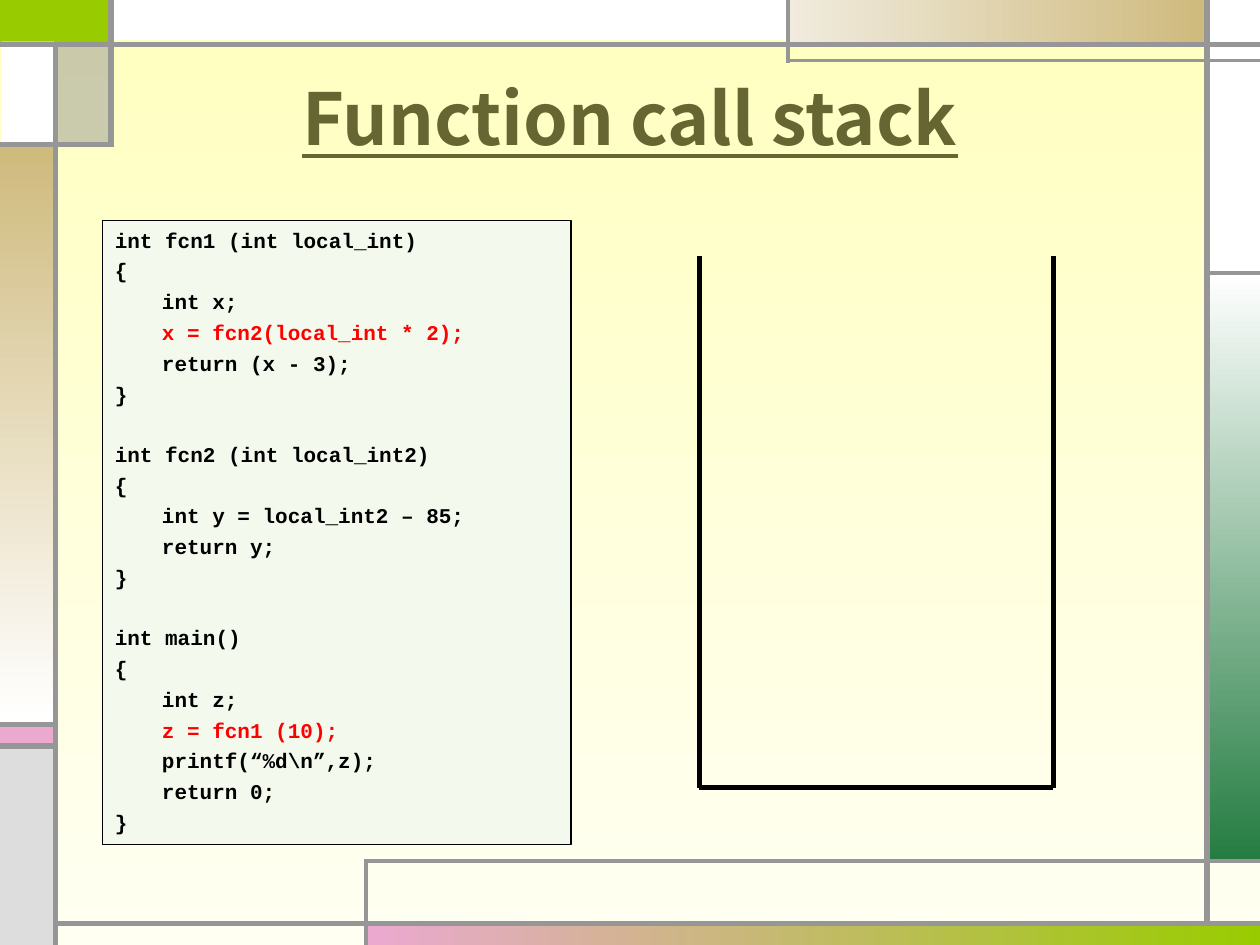
from dataclasses import dataclass

from lxml.etree import SubElement
from pptx import Presentation
from pptx.dml.color import RGBColor
from pptx.enum.shapes import MSO_CONNECTOR, MSO_SHAPE
from pptx.enum.text import MSO_ANCHOR, MSO_AUTO_SIZE, PP_ALIGN
from pptx.oxml.ns import qn
from pptx.util import Cm, Pt

COLORS = {
    "sky": "FFFFBF", "ground": "FFFFF2", "white": "FFFFFF", "gray": "969696",
    "silver": "DDDDDD", "lime": "99CC00", "pink": "EBA9D0", "green": "247C41",
    "cream": "F0EBDE", "sand": "CFBA7D", "olive": "666633", "mint": "F4F9EE",
    "black": "000000", "red": "FF0000",
}
WIDTH, HEIGHT = 25.4, 19.05
RIGHT_RAIL = 24.33
SIDE_WIDTH = 1.07
DOWN = 270


@dataclass
class Panel:
    """A decorative rectangle, in centimetres, with one or two colours."""
    left: float
    top: float
    width: float
    height: float
    colors: tuple[str, ...]
    angle: int = 0
    opacity: int = 100


@dataclass
class Rule:
    """A straight line, in centimetres."""
    x1: float
    y1: float
    x2: float
    y2: float
    weight: float = 3
    color: str = "gray"


@dataclass
class CodeLine:
    """A line of code with its indentation and colour."""
    text: str
    indented: bool = False
    color: str = "black"


PANELS = [
    Panel(0, 0, 2.21, 0.86, ("lime",)),
    Panel(7.42, 18.62, 17.98, 0.43, ("pink", "lime")),
    Panel(RIGHT_RAIL, 5.51, SIDE_WIDTH, 11.86, ("white", "green"), DOWN),
    Panel(0, 14.61, SIDE_WIDTH, 0.43, ("pink",)),
    Panel(0, 15.06, SIDE_WIDTH, 3.99, ("silver",)),
    Panel(RIGHT_RAIL, 0, SIDE_WIDTH, 5.51, ("white",)),
    Panel(15.88, 0, 8.46, 0.84, ("cream", "sand")),
    Panel(1.17, 0.84, SIDE_WIDTH, 2.08, ("gray",), opacity=50),
    Panel(0, 2.92, SIDE_WIDTH, 11.63, ("sand", "white"), DOWN),
    Panel(0.03, 0.84, SIDE_WIDTH, 2.08, ("white",)),
    Panel(2.18, 0, 13.69, 0.81, ("white",)),
]

FRAME_RULES = [
    Rule(1.12, HEIGHT, 1.12, 0.84),
    Rule(1.12, 18.62, WIDTH, 18.62),
    Rule(RIGHT_RAIL, 18.62, RIGHT_RAIL, 0),
    Rule(0, 0.89, WIDTH, 0.89),
    Rule(WIDTH, 1.22, 15.88, 1.22, 2.25),
    Rule(15.88, 1.27, 15.88, 0, 2.25),
    Rule(RIGHT_RAIL, 5.51, WIDTH, 5.51, 2.25),
    Rule(2.24, 0, 2.24, 2.97),
    Rule(2.18, 2.92, 0, 2.92),
    Rule(7.37, HEIGHT, 7.37, 17.32, 2.25),
    Rule(7.34, 17.35, WIDTH, 17.35, 2.25),
    Rule(1.17, 14.61, 0, 14.61),
    Rule(1.17, 15.04, 0, 15.04),
]

STACK_LEFT, STACK_RIGHT, STACK_TOP, STACK_BOTTOM = 14.1, 21.23, 5.16, 15.88
STACK_RULES = [
    Rule(STACK_LEFT, STACK_TOP, STACK_LEFT, STACK_BOTTOM, color="black"),
    Rule(STACK_RIGHT, STACK_TOP, STACK_RIGHT, STACK_BOTTOM, color="black"),
    Rule(STACK_LEFT, STACK_BOTTOM, STACK_RIGHT, STACK_BOTTOM, color="black"),
]

FUNCTIONS = [
    [
        CodeLine("int fcn1 (int local_int)"),
        CodeLine("{"),
        CodeLine("int x;", True),
        CodeLine("x = fcn2(local_int * 2);", True, "red"),
        CodeLine("return (x - 3);", True),
        CodeLine("}"),
    ],
    [
        CodeLine("int fcn2 (int local_int2)"),
        CodeLine("{"),
        CodeLine("int y = local_int2 – 85;", True),
        CodeLine("return y;", True),
        CodeLine("}"),
    ],
    [
        CodeLine("int main()"),
        CodeLine("{"),
        CodeLine("int z;", True),
        CodeLine("z = fcn1 (10);", True, "red"),
        CodeLine("printf(“%d\\n”,z);", True),
        CodeLine("return 0;", True),
        CodeLine("}"),
    ],
]


def rgb(name: str) -> RGBColor:
    """Look up a named colour."""
    return RGBColor.from_string(COLORS[name])


def paint(fill, colors: tuple[str, ...], angle: int = 0) -> None:
    """Fill with one solid colour or a gradient between two."""
    if len(colors) == 1:
        fill.solid()
        fill.fore_color.rgb = rgb(colors[0])
        return
    fill.gradient()
    fill.gradient_angle = angle
    for stop, color, position in zip(fill.gradient_stops, colors, (0, 1)):
        stop.color.rgb = rgb(color)
        stop.position = position


def draw_panel(slide, panel: Panel) -> None:
    """Draw a borderless rectangle."""
    shape = slide.shapes.add_shape(
        MSO_SHAPE.RECTANGLE, Cm(panel.left), Cm(panel.top), Cm(panel.width), Cm(panel.height))
    shape.shadow.inherit = False
    shape.line.fill.background()
    paint(shape.fill, panel.colors, panel.angle)
    if panel.opacity < 100:
        color = shape.fill._xPr.find(".//" + qn("a:srgbClr"))
        SubElement(color, qn("a:alpha")).set("val", str(panel.opacity * 1000))


def draw_rule(slide, rule: Rule) -> None:
    """Draw a straight line without a shadow."""
    connector = slide.shapes.add_connector(
        MSO_CONNECTOR.STRAIGHT, Cm(rule.x1), Cm(rule.y1), Cm(rule.x2), Cm(rule.y2))
    connector.line.color.rgb = rgb(rule.color)
    connector.line.width = Pt(rule.weight)
    SubElement(connector._element.spPr, qn("a:effectLst"))


def place(shape, left: float, top: float, width: float, height: float) -> None:
    """Move a placeholder, in centimetres, and bring it to the front."""
    shape.left, shape.top, shape.width, shape.height = map(Cm, (left, top, width, height))
    shape.text_frame.auto_size = MSO_AUTO_SIZE.NONE
    shape._element.getparent().append(shape._element)


def write(paragraph, text: str, *, font: str, size: float, color: str,
          underline: bool = False) -> None:
    """Add bold text to a paragraph."""
    run = paragraph.add_run()
    run.text = text
    run.font.name = font
    run.font.size = Pt(size)
    run.font.bold = True
    run.font.underline = underline
    run.font.color.rgb = rgb(color)


def fill_title(title) -> None:
    """Place and write the slide title."""
    place(title, 1.27, 0.76, 22.86, 3.18)
    title.text_frame.vertical_anchor = MSO_ANCHOR.MIDDLE
    paragraph = title.text_frame.paragraphs[0]
    paragraph.alignment = PP_ALIGN.CENTER
    write(paragraph, "Function call stack", font="Noto Sans CJK KR", size=41,
          color="olive", underline=True)


def fill_code(body) -> None:
    """Place the code box and write the functions with gaps between them."""
    place(body, 2.06, 4.45, 9.45, 12.57)
    paint(body.fill, ("mint",))
    body.line.color.rgb = rgb("black")
    body.line.width = Pt(0.75)
    frame = body.text_frame
    for function_index, function in enumerate(FUNCTIONS):
        for line_index, line in enumerate(function):
            first = function_index == line_index == 0
            paragraph = frame.paragraphs[0] if first else frame.add_paragraph()
            starts_after_gap = function_index > 0 and line_index == 0
            paragraph.space_before = Pt(20 if starts_after_gap else 3.2)
            properties = paragraph._p.get_or_add_pPr()
            properties.set("marL", str(Cm(0.95) if line.indented else 0))
            properties.set("indent", "0")
            SubElement(properties, qn("a:buNone"))
            write(paragraph, line.text, font="Courier New", size=12, color=line.color)


def main() -> None:
    """Build and save the slide."""
    presentation = Presentation()
    presentation.slide_width, presentation.slide_height = Cm(WIDTH), Cm(HEIGHT)
    slide = presentation.slides.add_slide(presentation.slide_layouts[1])
    paint(slide.background.fill, ("sky", "ground"), DOWN)
    for panel in PANELS:
        draw_panel(slide, panel)
    for rule in FRAME_RULES:
        draw_rule(slide, rule)
    fill_title(slide.shapes.title)
    fill_code(slide.placeholders[1])
    for rule in STACK_RULES:
        draw_rule(slide, rule)
    presentation.save("out.pptx")


main()
